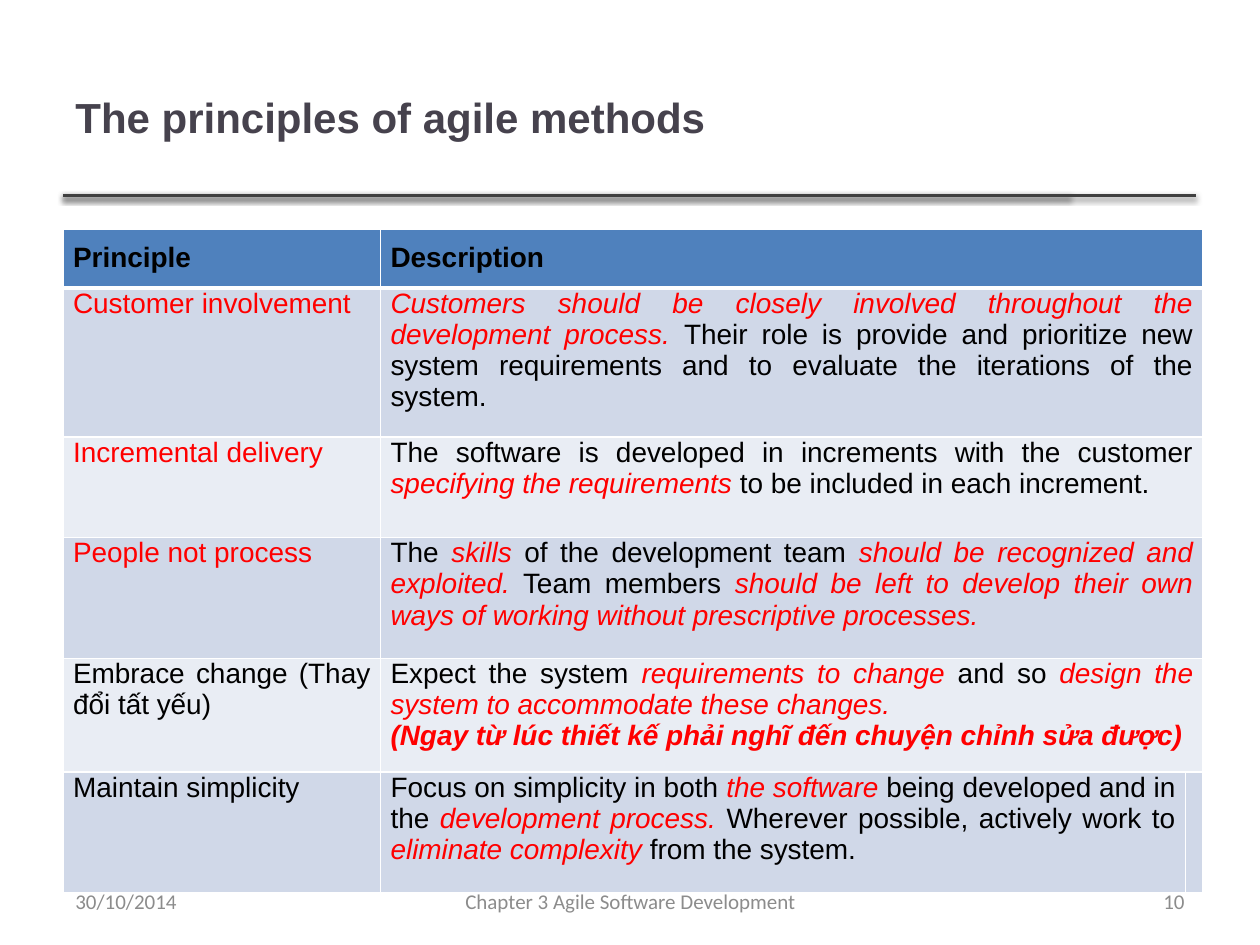
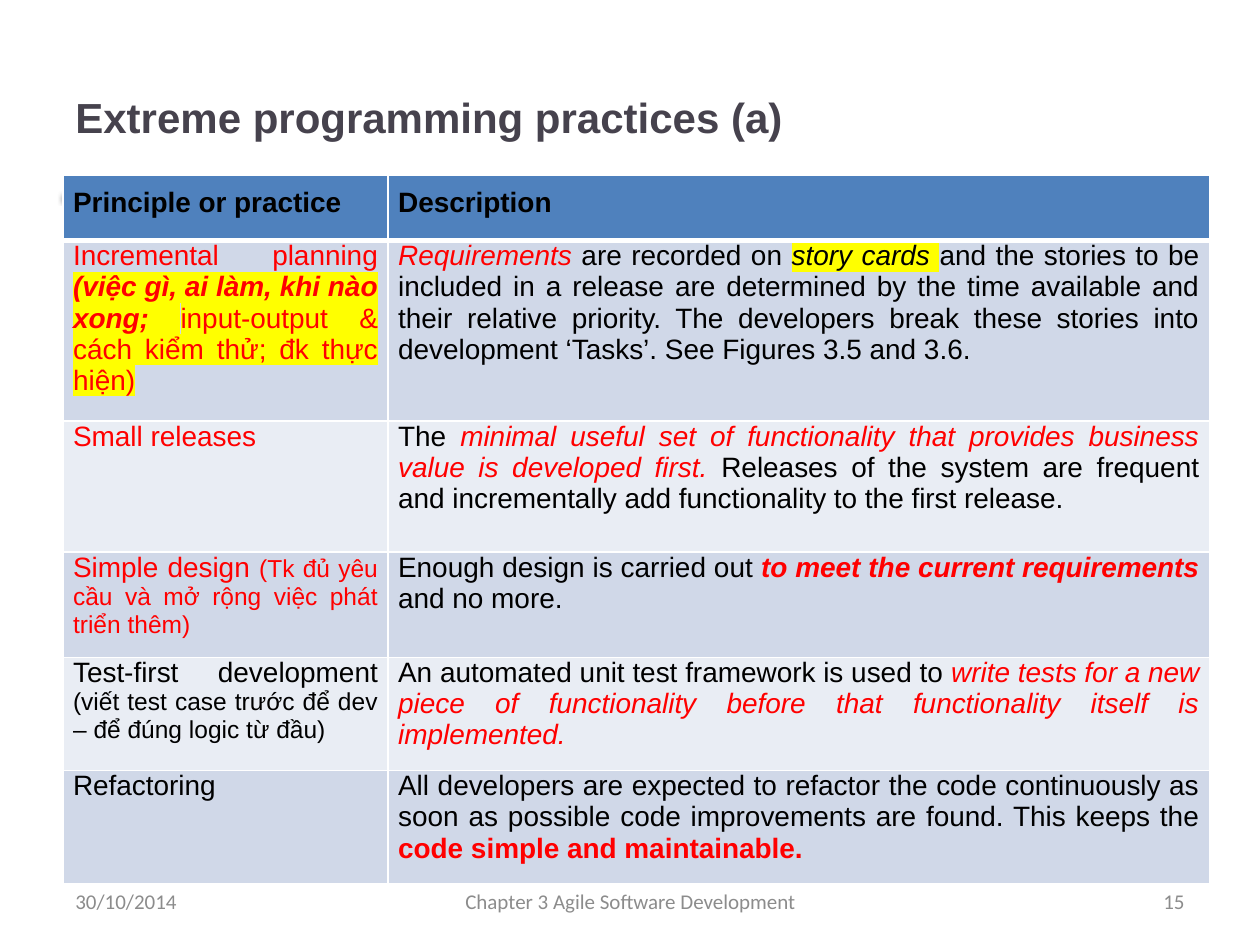
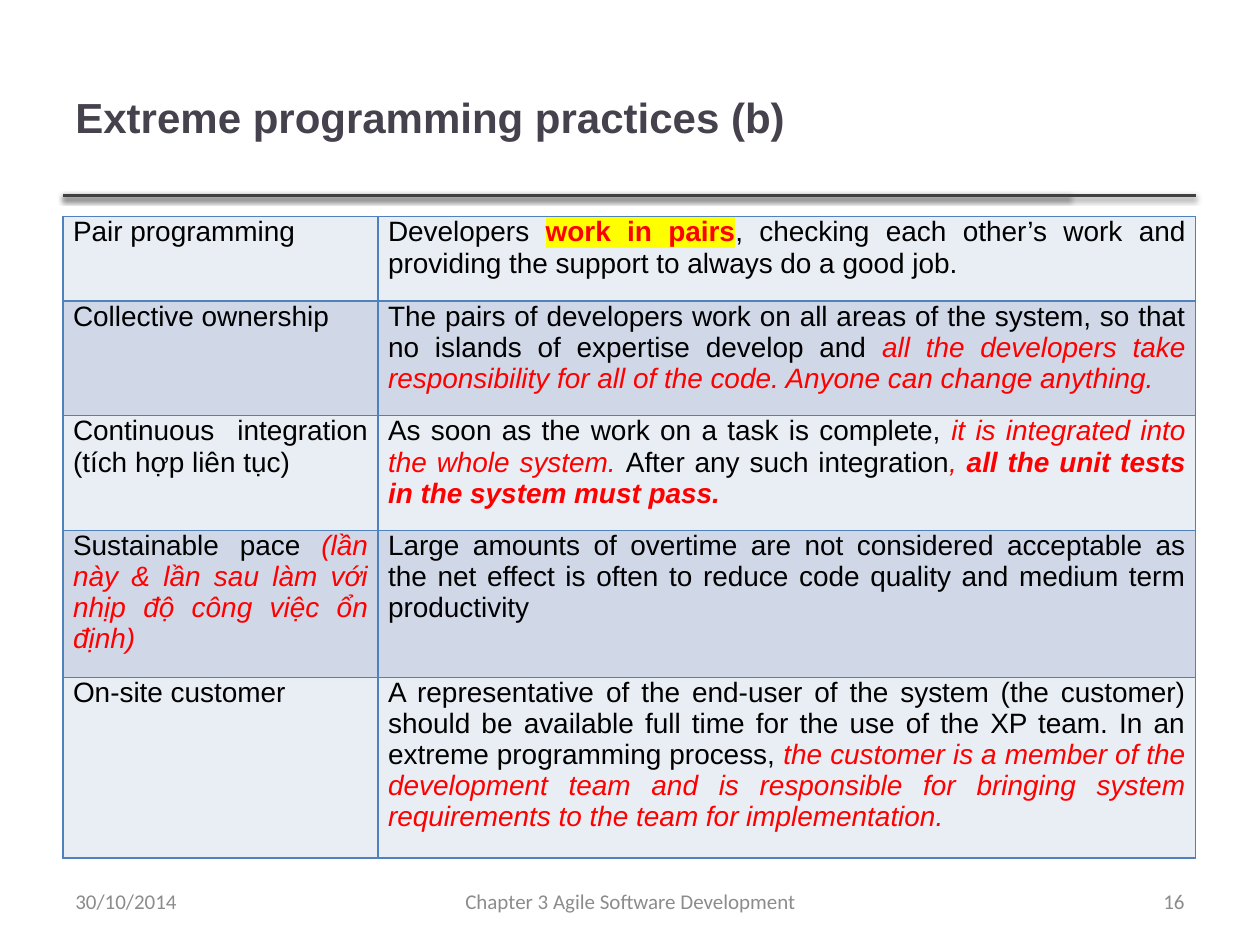
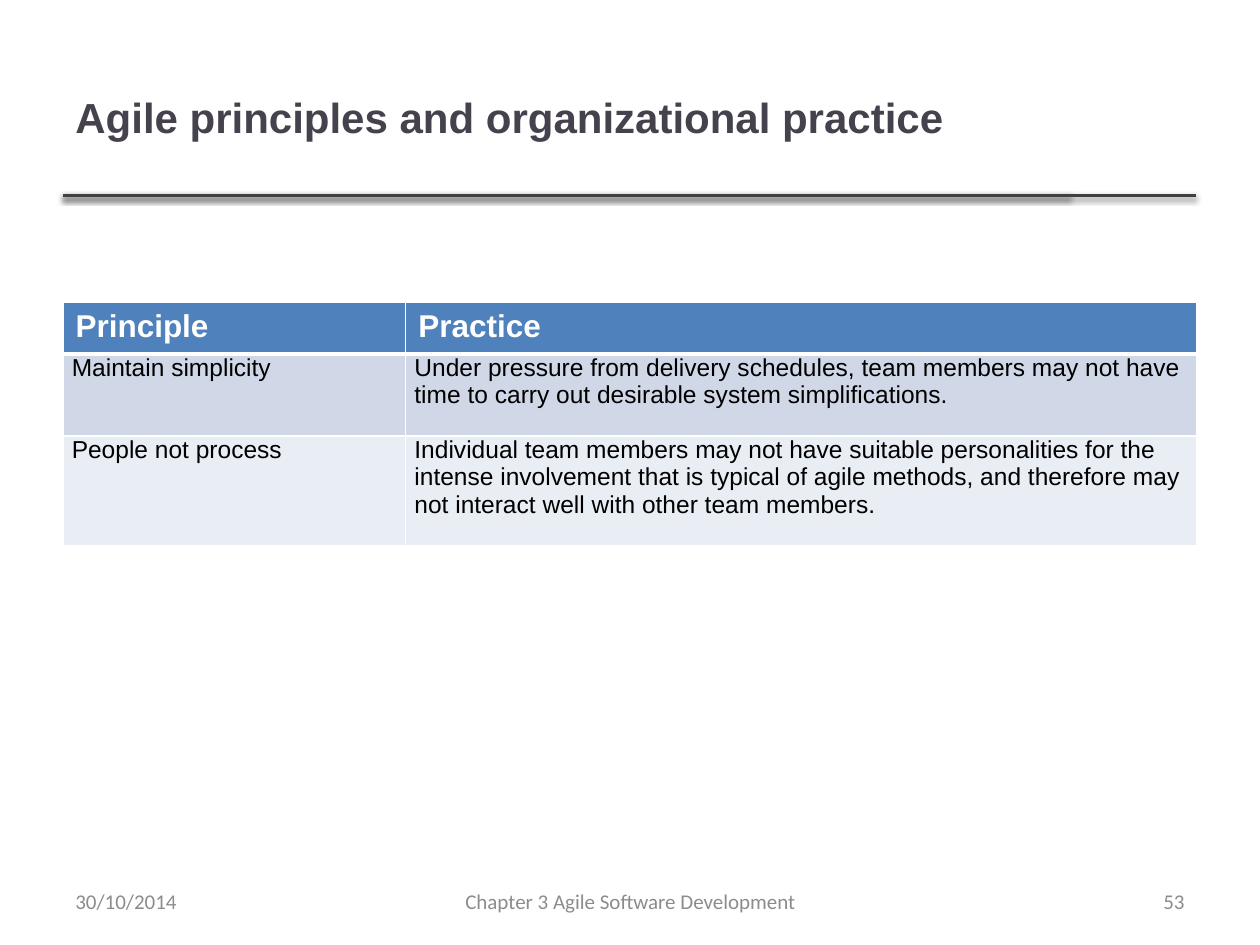
from dataclasses import dataclass

from lxml import etree
from pptx import Presentation
from pptx.dml.color import RGBColor
from pptx.enum.shapes import MSO_CONNECTOR as Connector
from pptx.enum.text import MSO_ANCHOR as Anchor, PP_ALIGN as Align
from pptx.oxml.ns import qn
from pptx.util import Inches, Pt

BLACK, WHITE, RED, YELLOW = "000000", "FFFFFF", "FF0000", "FFFF00"
BLUE, DARK_BAND, LIGHT_BAND = "4F81BD", "D0D8E8", "E9EDF4"
TITLE_GREY, RULE_GREY, FOOTER_GREY = "46424D", "404040", "8C8C8C"
LEFT = 0.5
NEW_PARAGRAPH = None


def rgb(value):
    return RGBColor.from_string(value)


def add_colour(parent, value):
    return etree.SubElement(parent, qn("a:srgbClr"), val=value)


@dataclass
class Words:
    """A stretch of cell text with its own look."""
    text: str
    colour: str = BLACK
    bold: bool = False
    italic: bool = False
    size: int = 0
    highlight: str = ""


def red(text, **look):
    return Words(text, RED, **look)


def emph(text, **look):
    return Words(text, RED, italic=True, **look)


@dataclass
class TableLook:
    size: int = 16
    align: Align = Align.JUSTIFY
    margins: tuple = (0.08, 0, 0.08, 0.1)  # left, top, right, bottom
    border: str = WHITE
    has_header: bool = True
    header_size: int = 16
    header_colour: str = BLACK
    header_margins: tuple = (0.08, 0.1, 0.08, 0.1)


class Deck:
    def __init__(self):
        self.prs = Presentation()
        self.prs.slide_width, self.prs.slide_height = Inches(10), Inches(7.5)
        self.slide = None

    def new_slide(self, title, number):
        self.slide = self.prs.slides.add_slide(self.prs.slide_layouts[6])
        for right in (8.49, 9.49):
            self.rule(right, 1.55)
        self.text(title, (LEFT, 0.3, 7.98, 1.25), 24, "Arial", TITLE_GREY, bold=True)
        footers = (("30/10/2014", LEFT, 2.33, Align.LEFT),
                   ("Chapter 3 Agile Software Development", 3.42, 3.17, Align.CENTER),
                   (str(number), 7.17, 2.33, Align.RIGHT))
        for words, left, width, align in footers:
            self.text(words, (left, 6.95, width, 0.4), 12, "Calibri", FOOTER_GREY, align)

    def rule(self, right, top):
        line = self.slide.shapes.add_connector(
            Connector.STRAIGHT, Inches(LEFT), Inches(top), Inches(right), Inches(top))
        line.line.color.rgb = rgb(RULE_GREY)
        line.line.width = Pt(2)
        effects = etree.SubElement(line._element.spPr, qn("a:effectLst"))
        shadow = etree.SubElement(effects, qn("a:outerShdw"), blurRad=str(Pt(3.1)),
                                  dist=str(Pt(1.6)), dir="5400000", rotWithShape="0")
        etree.SubElement(add_colour(shadow, BLACK), qn("a:alpha"), val="38000")

    def text(self, words, box, size, font, colour, align=Align.LEFT, bold=False):
        frame = self.slide.shapes.add_textbox(*map(Inches, box)).text_frame
        frame.word_wrap = True
        frame.vertical_anchor = Anchor.MIDDLE
        frame.text = words
        paragraph = frame.paragraphs[0]
        paragraph.alignment = align
        self.style(paragraph.runs[0], size, font, colour, bold)

    def style(self, run, size, font, colour, bold=False, italic=False, highlight=""):
        run.font.size, run.font.name = Pt(size), font
        run.font.bold, run.font.italic = bold, italic
        run.font.color.rgb = rgb(colour)
        if highlight:
            mark = etree.Element(qn("a:highlight"))
            add_colour(mark, highlight)
            run._r.rPr.find(qn("a:solidFill")).addnext(mark)

    def table(self, top, widths, heights, rows, look):
        grid = self.slide.shapes.add_table(
            len(rows), len(widths), Inches(LEFT), Inches(top),
            Inches(sum(widths)), Inches(sum(heights))).table
        grid.first_row, grid.horz_banding = look.has_header, False
        for column, width in zip(grid.columns, widths):
            column.width = Inches(width)
        for r, (height, row) in enumerate(zip(heights, rows)):
            grid.rows[r].height = Inches(height)
            is_header = look.has_header and r == 0
            fill = BLUE if is_header else (DARK_BAND if r % 2 else LIGHT_BAND)
            for c in range(len(widths)):
                cell = grid.cell(r, c)
                cell.fill.solid()
                cell.fill.fore_color.rgb = rgb(fill)
                self.borders(cell, look.border,
                             top=3 if look.has_header and r == 1 else 1,
                             bottom=3 if is_header else 1)
                if c < len(row):
                    self.cell_text(cell, row[c], look, is_header)
            # A short row lets its last cell run on to the right edge
            if len(row) < len(widths):
                grid.cell(r, len(row) - 1).merge(grid.cell(r, len(widths) - 1))

    def borders(self, cell, colour, top, bottom):
        sides = (("a:lnL", 1), ("a:lnR", 1), ("a:lnT", top), ("a:lnB", bottom))
        for place, (tag, width) in enumerate(sides):
            edge = etree.Element(qn(tag), w=str(Pt(width)))
            add_colour(etree.SubElement(edge, qn("a:solidFill")), colour)
            cell._tc.tcPr.insert(place, edge)

    def cell_text(self, cell, content, look, is_header):
        margins = look.header_margins if is_header else look.margins
        (cell.margin_left, cell.margin_top,
         cell.margin_right, cell.margin_bottom) = map(Inches, margins)
        if not content:
            cell.margin_left = cell.margin_right = 0
            return
        size = look.header_size if is_header else look.size
        paragraph = cell.text_frame.paragraphs[0]
        paragraph.alignment = look.align
        for piece in [content] if isinstance(content, (str, Words)) else content:
            if piece is NEW_PARAGRAPH:
                paragraph = cell.text_frame.add_paragraph()
                paragraph.alignment = look.align
                continue
            if isinstance(piece, str):
                piece = Words(piece, look.header_colour if is_header else BLACK, is_header)
            run = paragraph.add_run()
            run.text = piece.text
            self.style(run, piece.size or size, "Arial", piece.colour,
                       piece.bold, piece.italic, piece.highlight)


# Table content
PRINCIPLES = [
    ["Principle", "Description"],
    [red("Customer involvement"),
     [emph("Customers should be closely involved throughout the development process. "),
      "Their role is provide and prioritize new system requirements and to evaluate "
      "the iterations of the system."]],
    [red("Incremental delivery"),
     ["The software is developed in increments with the customer ",
      emph("specifying the requirements "), "to be included in each increment."]],
    [red("People not process"),
     ["The ", emph("skills "), "of the development team ",
      emph("should be recognized and exploited."), " Team members ",
      emph("should be left to develop their own ways of working without "
           "prescriptive processes.")]],
    ["Embrace change (Thay đổi tất yếu)",
     ["Expect the system ", emph("requirements to change "), "and so ",
      emph("design the system to accommodate these changes."), NEW_PARAGRAPH,
      emph("(Ngay từ lúc thiết kế phải nghĩ đến chuyện chỉnh sửa được)", bold=True)]],
    ["Maintain simplicity",
     ["Focus on simplicity in both ", emph("the software"),
      " being developed and in the ", emph("development process. "),
      "Wherever possible, actively work to ", emph("eliminate complexity "),
      "from the system."],
     ""],
]

PRACTICES_A = [
    ["Principle or practice", "Description"],
    [[red("Incremental planning "),
      emph("(việc gì, ai làm, khi nào xong; ", bold=True, highlight=YELLOW),
      red("input-output & cách kiểm thử; đk thực hiện)", highlight=YELLOW)],
     [emph("Requirements"), " are recorded on ",
      Words("story cards ", italic=True, highlight=YELLOW),
      "and the stories to be included in a release are determined by the time available "
      "and their relative priority. The developers break these stories into development "
      "‘Tasks’. See Figures 3.5 and 3.6."]],
    [red("Small releases"),
     ["The ", emph("minimal useful set of functionality that provides business value "
                   "is developed first. "),
      "Releases of the system are frequent and incrementally add functionality to "
      "the first release."]],
    [[red("Simple design "),
      red("(Tk đủ yêu cầu và mở rộng việc phát triển thêm)", size=14)],
     ["Enough design is carried out ",
      emph("to meet the current requirements ", bold=True), "and no more."]],
    [["Test-first development ",
      Words("(viết test case trước để dev – để đúng logic từ đầu)", size=14)],
     ["An automated unit test framework is used to ",
      emph("write tests for a new piece of functionality before that functionality "
           "itself is implemented.")]],
    ["Refactoring",
     ["All developers are expected to refactor the code continuously as soon as possible "
      "code improvements are found. This keeps the ",
      red("code simple and maintainable.", bold=True)]],
]

PRACTICES_B = [
    ["Pair programming",
     ["Developers ", red("work in pairs", bold=True, highlight=YELLOW),
      ", checking each other’s work and providing the support to always do a good job."]],
    ["Collective ownership",
     ["The pairs of developers work on all areas of the system, so that no islands of "
      "expertise develop and ",
      emph("all the developers take responsibility for all of the code. "
           "Anyone can change anything.")]],
    ["Continuous integration (tích hợp liên tục)",
     ["As soon as the work on a task is complete, ",
      emph("it is integrated into the whole system. "), "After any such integration",
      emph(", "), emph("all the unit tests in the system must pass.", bold=True)]],
    [["Sustainable pace ", emph("(lần này & lần sau làm với nhịp độ công việc ổn định)")],
     "Large amounts of overtime are not considered acceptable as the net effect is often "
     "to reduce code quality and medium term productivity"],
    ["On-site customer",
     ["A representative of the end-user of the system (the customer) should be available "
      "full time for the use of the XP team. In an extreme programming process, ",
      emph("the customer is a member of the development team and is responsible for "
           "bringing system requirements to the team for implementation.")]],
]

ORGANIZATION = [
    ["Principle", "Practice"],
    ["Maintain simplicity",
     "Under pressure from delivery schedules, team members may not have time to carry out "
     "desirable system simplifications."],
    ["People not process",
     "Individual team members may not have suitable personalities for the intense "
     "involvement that is typical of agile methods, and therefore may not interact well "
     "with other team members."],
]


def main():
    deck = Deck()

    # Agile principles
    deck.new_slide("The principles of agile methods", 10)
    deck.table(1.82, (2.52, 6.39, 0.14), (0.44, 1.18, 0.8, 0.96, 0.84, 0.96),
               PRINCIPLES, TableLook())

    # Extreme programming, first half
    deck.new_slide("Extreme programming practices (a)", 15)
    deck.table(1.39, (2.58, 6.52), (0.52, 1.33, 1.04, 0.79, 0.84, 0.84),
               PRACTICES_A, TableLook())

    # Extreme programming, second half
    deck.new_slide("Extreme programming practices (b)", 16)
    deck.table(1.72, (2.5, 6.49), (0.67, 0.91, 0.91, 1.09, 1.4),
               PRACTICES_B, TableLook(border=BLUE, has_header=False))

    # Principles in organizations
    deck.new_slide("Agile principles and organizational practice", 53)
    deck.table(2.4, (2.72, 6.28), (0.41, 0.65, 0.87), ORGANIZATION,
               TableLook(size=14, align=Align.LEFT, margins=(0.07, 0, 0.07, 0),
                         header_size=18, header_colour=WHITE,
                         header_margins=(0.1, 0.05, 0.1, 0.05)))

    deck.prs.save("out.pptx")


if __name__ == "__main__":
    main()
